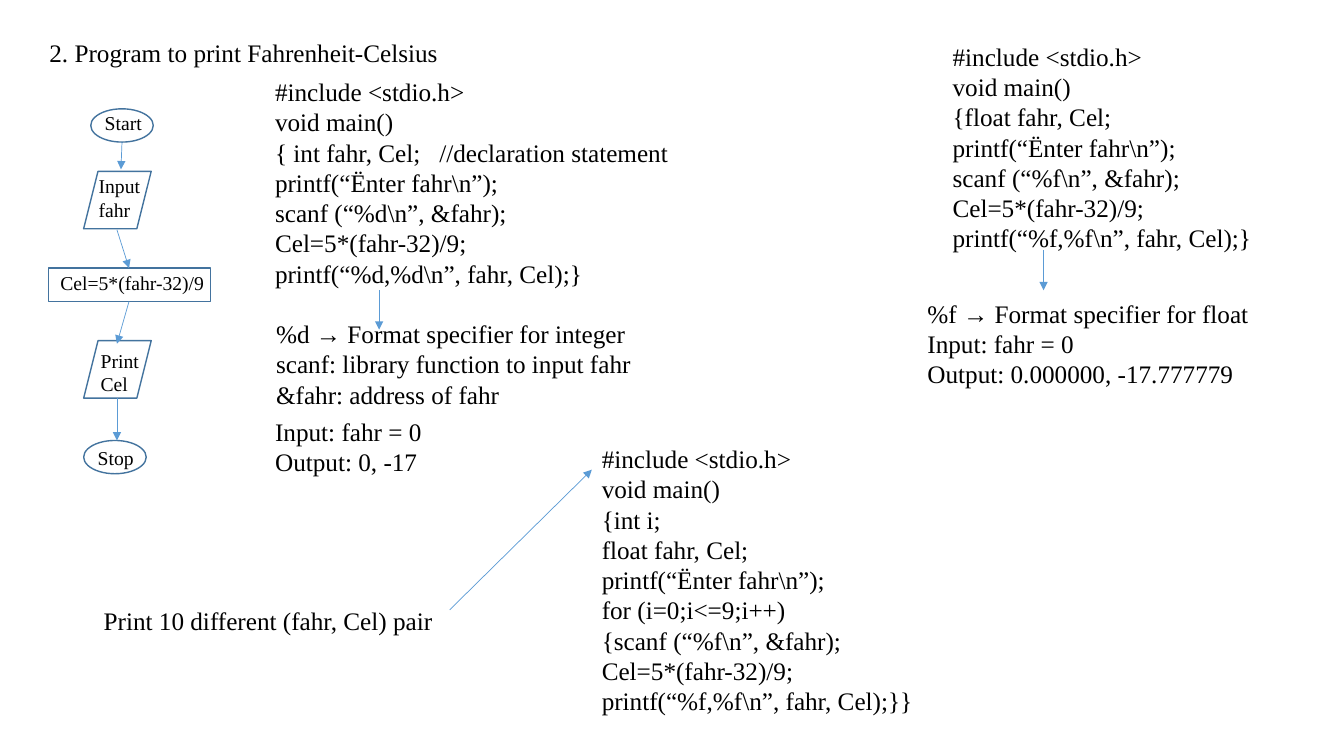
"""Build the Fahrenheit-Celsius slide with its flow chart and C programs."""
from lxml import etree
from pptx import Presentation
from pptx.dml.color import RGBColor
from pptx.enum.shapes import MSO_CONNECTOR, MSO_SHAPE
from pptx.enum.text import MSO_ANCHOR, MSO_AUTO_SIZE, PP_ALIGN
from pptx.oxml.ns import qn
from pptx.util import Pt

PX = 9144
FONT = "Times New Roman"
COLORS = {"text": "000000", "edge": "43739E", "arrow": "5B9BD5"}
LINE = MSO_CONNECTOR.STRAIGHT
OVAL = MSO_SHAPE.OVAL
SLANT = MSO_SHAPE.PARALLELOGRAM
RECT = MSO_SHAPE.RECTANGLE
TOP = MSO_ANCHOR.TOP
LEFT = PP_ALIGN.LEFT
FIXED = MSO_AUTO_SIZE.NONE


def put_text(text, box, size=18, wrap=True, shape=None):
    x, y, w, h = [n * PX for n in box]
    if shape is None:
        shape = slide.shapes.add_textbox(x, y, w, h)
    shape.left, shape.top, shape.width, shape.height = x, y, w, h
    frame = shape.text_frame
    frame.text = text
    frame.auto_size = FIXED
    frame.word_wrap = wrap
    frame.vertical_anchor = TOP
    for para in frame.paragraphs:
        para.alignment = LEFT
        para.line_spacing = 1.0
        para.space_before = Pt(0)
        font = para.runs[0].font
        font.name = FONT
        font.size = Pt(size)
        font.color.rgb = RGBColor.from_string(COLORS["text"])


deck = Presentation()
deck.slide_width = 1333 * PX
deck.slide_height = 750 * PX
slide = deck.slides.add_slide(deck.slide_layouts[5])

put_text("2. Program to print Fahrenheit-Celsius", (39, 32, 408, 40),
         shape=slide.shapes.title)

steps = [
    ("Start", (94, 105, 58, 34), OVAL, (90, 108, 62, 33)),
    ("Input fahr", (88, 168, 65, 57), SLANT, (83, 170, 67, 57)),
    ("Cel=5*(fahr-32)/9", (50, 264, 165, 34), RECT, (48, 266, 161, 33)),
    ("Print Cel", (90, 341, 65, 57), SLANT, (83, 338, 67, 57)),
    ("Stop", (87, 437, 58, 34), OVAL, (83, 437, 62, 33)),
]
for label, box, kind, frame in steps:
    put_text(label, box, size=14, wrap=" " in label)
    node = slide.shapes.add_shape(kind, *[n * PX for n in frame])
    node.shadow.inherit = False
    node.fill.background()
    node.line.color.rgb = RGBColor.from_string(COLORS["edge"])
    node.line.width = Pt(1)

int_code = r"""#include <stdio.h>
void main()
{ int fahr, Cel;   //declaration statement
printf(“Ënter fahr\n”);
scanf (“%d\n”, &fahr);
Cel=5*(fahr-32)/9;
printf(“%d,%d\n”, fahr, Cel);}"""

float_code = r"""#include <stdio.h>
void main()
{float fahr, Cel;
printf(“Ënter fahr\n”);
scanf (“%f\n”, &fahr);
Cel=5*(fahr-32)/9;
printf(“%f,%f\n”, fahr, Cel);}"""

loop_code = r"""#include <stdio.h>
void main()
{int i;
float fahr, Cel;
printf(“Ënter fahr\n”);
for (i=0;i<=9;i++)
{scanf (“%f\n”, &fahr);
Cel=5*(fahr-32)/9;
printf(“%f,%f\n”, fahr, Cel);}}"""

int_notes = """%d → Format specifier for integer
scanf: library function to input fahr
&fahr: address of fahr"""

float_notes = """%f → Format specifier for float
Input: fahr = 0
Output: 0.000000, -17.777779"""

blocks = [
    (float_code, (935, 36, 324, 222)),
    (int_notes, (264, 311, 410, 101)),
    (int_code, (263, 71, 507, 222)),
    ("Input: fahr = 0\nOutput: 0, -17", (263, 408, 215, 71)),
    (float_notes, (910, 291, 377, 101)),
    (loop_code, (587, 435, 501, 283)),
    ("Print 10 different (fahr, Cel) pair", (93, 596, 409, 40)),
]
for text, box in blocks:
    put_text(text, box)

arrows = [
    (121, 141, 120, 168),
    (116, 228, 128, 266),
    (128, 299, 116, 341),
    (116, 395, 116, 437),
    (376, 288, 376, 327),
    (1035, 248, 1035, 288),
    (446, 605, 587, 466),
]
for ends in arrows:
    arrow = slide.shapes.add_connector(LINE, *[n * PX for n in ends])
    arrow.line.color.rgb = RGBColor.from_string(COLORS["arrow"])
    arrow.line.width = Pt(0.5)
    props = arrow.element.spPr
    etree.SubElement(props.find(qn("a:ln")), qn("a:tailEnd"), type="triangle")
    etree.SubElement(props, qn("a:effectLst"))

deck.save("out.pptx")
